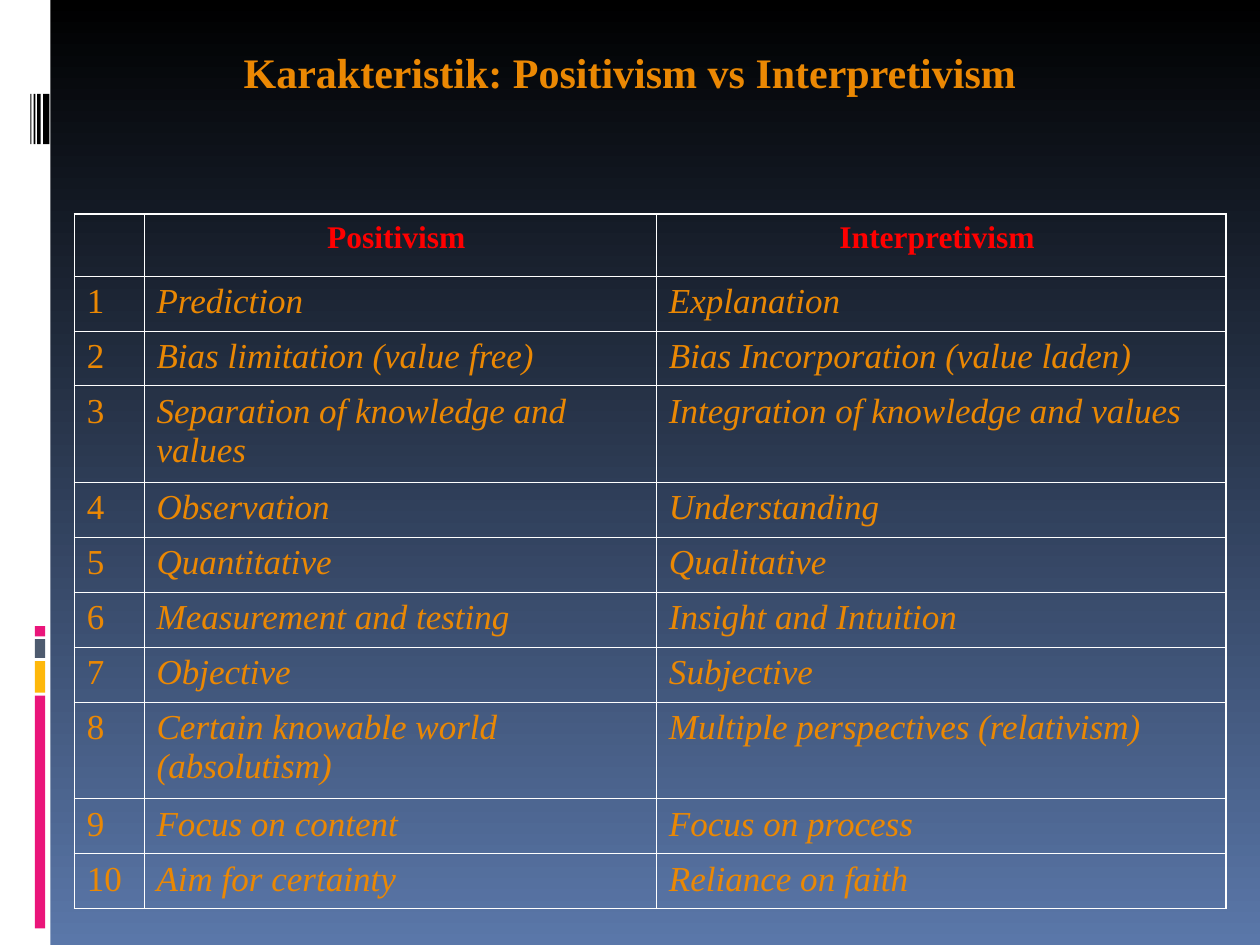
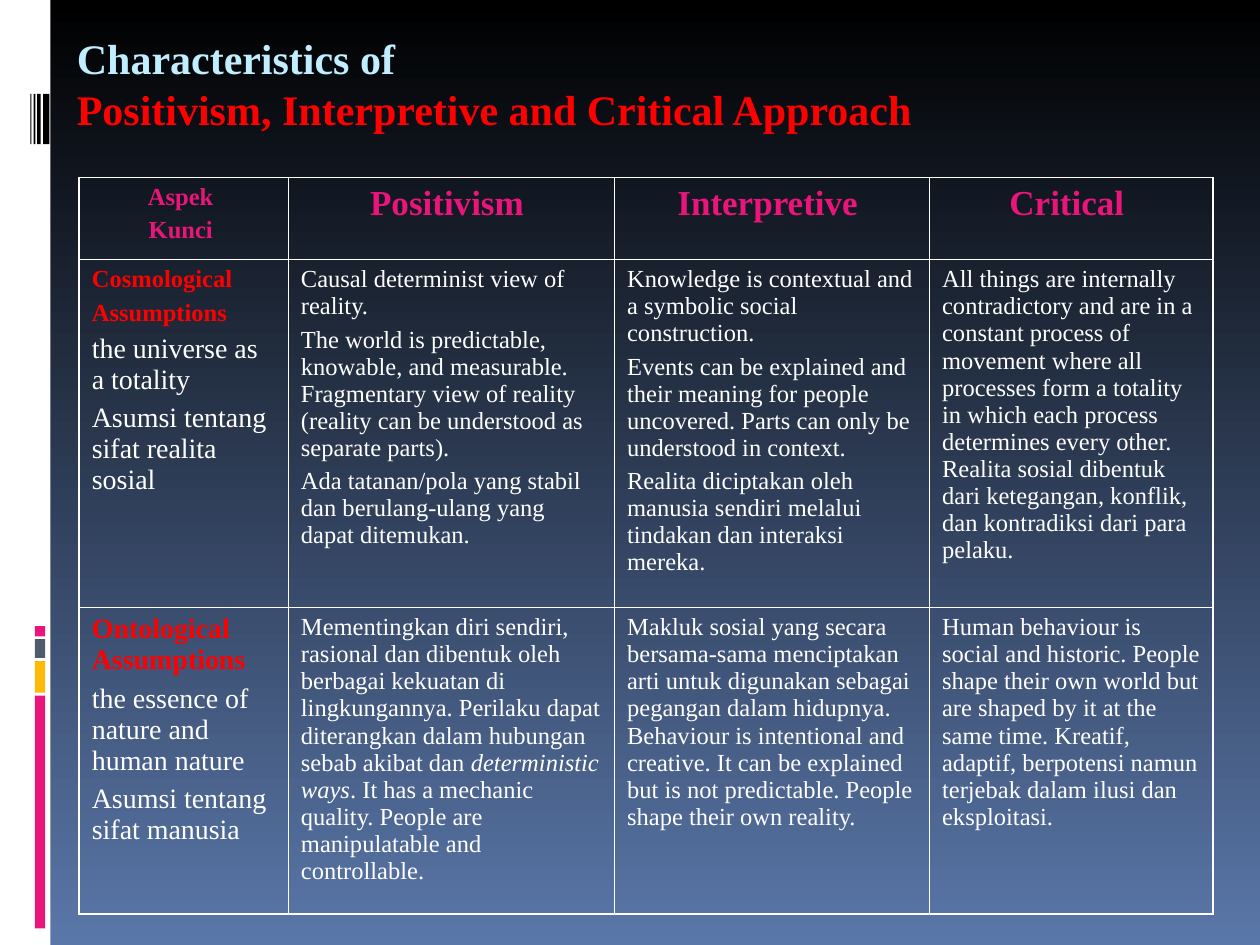
from dataclasses import dataclass, field, replace
from typing import Optional

import pptx
import pptx.dml.color
import pptx.enum.shapes
import pptx.enum.text
import pptx.oxml
import pptx.oxml.ns
import pptx.util

Pt = pptx.util.Pt
RGBColor = pptx.dml.color.RGBColor
ALIGN = pptx.enum.text.PP_ALIGN

WHITE = RGBColor(0xFF, 0xFF, 0xFF)
BLACK = RGBColor(0x00, 0x00, 0x00)
BLUE = RGBColor(0x5A, 0x77, 0xA9)
PINK = RGBColor(0xEA, 0x15, 0x7A)
YELLOW = RGBColor(0xFE, 0xB8, 0x0A)
SLATE = RGBColor(0x4E, 0x5B, 0x6F)
ORANGE = RGBColor(0xEB, 0x88, 0x03)
RED = RGBColor(0xFF, 0x00, 0x00)
PALE_BLUE = RGBColor(0xC1, 0xEE, 0xFF)

FONT = "Times New Roman"
THIN, HEAVY = 0.45, 1.08
TITLE_ONLY = 5


@dataclass(frozen=True)
class Band:
    left: float
    top: float
    width: float
    height: float
    color: RGBColor


@dataclass(frozen=True)
class Style:
    size: float
    color: RGBColor
    bold: bool = False
    italic: bool = False


@dataclass(frozen=True)
class Paragraph:
    runs: list[tuple[str, Style]]
    align: ALIGN = ALIGN.LEFT
    before: float = 0


@dataclass(frozen=True)
class Grid:
    left: float
    top: float
    columns: list[float]
    rows: list[float]
    cells: list[list[list[Paragraph]]]
    # (row, column) of cells with a heavy lower edge inside the table
    heavy_below: set[tuple[int, int]] = field(default_factory=set)


# Left margin decoration shared by all slides
BANDS = [
    Band(0, 0, 28.8, 540, WHITE),
    Band(20, 397.5, 5.9, 133, PINK),
    Band(20, 377.8, 5.9, 18, YELLOW),
    Band(20, 365.2, 5.9, 10.8, SLATE),
    Band(20, 357.8, 5.9, 5.8, PINK),
    Band(24.6, 53.6, 3.6, 28.8, BLACK),
    Band(21.2, 53.6, 2, 28.8, BLACK),
    Band(19.3, 53.6, 0.9, 28.8, BLACK),
    Band(17.4, 53.6, 0.6, 28.8, BLACK),
]

# Text styles
TITLE = Style(24, ORANGE, bold=True)
PAIR_HEAD = Style(18, RED, bold=True)
NUMBER = Style(20, ORANGE)
TRAIT = replace(NUMBER, italic=True)
KEY_HEAD = Style(14, PINK, bold=True)
APPROACH_HEAD = Style(20, PINK, bold=True)
BODY = Style(14, WHITE)
BODY_ITALIC = replace(BODY, italic=True)
ASPECT = Style(16, WHITE)
COSMOLOGICAL = Style(14, RED, bold=True)
ONTOLOGICAL = Style(16, RED, bold=True)

TRAITS = [
    ("Prediction", "Explanation"),
    ("Bias limitation (value free)", "Bias Incorporation (value laden)"),
    ("Separation of knowledge and values", "Integration of knowledge and values"),
    ("Observation", "Understanding"),
    ("Quantitative", "Qualitative"),
    ("Measurement and testing", "Insight and Intuition"),
    ("Objective", "Subjective"),
    ("Certain knowable world (absolutism)", "Multiple perspectives (relativism)"),
    ("Focus on content", "Focus on process"),
    ("Aim for certainty", "Reliance on faith"),
]
TWO_LINE_TRAITS = (3, 8)


def stack(*lines: tuple[str, Style], align: ALIGN = ALIGN.LEFT) -> list[Paragraph]:
    """One paragraph per line, spaced by a quarter of the text size."""
    return [Paragraph([line], align, line[1].size / 4 if index else 0)
            for index, line in enumerate(lines)]


def body(*texts: str) -> list[Paragraph]:
    return stack(*((text, BODY) for text in texts))


def heading(text: str, style: Style) -> list[Paragraph]:
    return stack((text, style), align=ALIGN.CENTER)


def write(frame, paragraphs: list[Paragraph]) -> None:
    for index, content in enumerate(paragraphs):
        line = frame.add_paragraph() if index else frame.paragraphs[0]
        line.alignment = content.align
        line.space_before = Pt(content.before)
        for text, style in content.runs:
            if text == "\n":
                line.add_line_break()
                continue
            run = line.add_run()
            run.text = text
            look = {"name": FONT, "size": Pt(style.size),
                    "bold": style.bold, "italic": style.italic}
            for name, value in look.items():
                setattr(run.font, name, value)
            run.font.color.rgb = style.color


def draw_band(slide, band: Band) -> None:
    bar = slide.shapes.add_shape(
        pptx.enum.shapes.MSO_SHAPE.RECTANGLE,
        Pt(band.left), Pt(band.top), Pt(band.width), Pt(band.height))
    bar.shadow.inherit = False
    bar.fill.solid()
    bar.fill.fore_color.rgb = band.color
    bar.line.fill.background()


def set_borders(cell, widths: dict[str, float]) -> None:
    properties = cell._tc.get_or_add_tcPr()
    for side, width in widths.items():
        properties.append(pptx.oxml.parse_xml(
            f'<a:ln{side} {pptx.oxml.ns.nsdecls("a")} w="{Pt(width)}">'
            f'<a:solidFill><a:srgbClr val="{WHITE}"/></a:solidFill></a:ln{side}>'))


def draw_grid(slide, grid: Grid) -> None:
    last_row, last_column = len(grid.rows) - 1, len(grid.columns) - 1
    table = slide.shapes.add_table(
        last_row + 1, last_column + 1, Pt(grid.left), Pt(grid.top),
        Pt(sum(grid.columns)), Pt(sum(grid.rows))).table
    table.first_row = table.horz_banding = False
    for column, width in zip(table.columns, grid.columns):
        column.width = Pt(width)
    for row, height in zip(table.rows, grid.rows):
        row.height = Pt(height)
    for r, contents in enumerate(grid.cells):
        for c, paragraphs in enumerate(contents):
            cell = table.cell(r, c)
            heavy = {"L": c == 0, "R": c == last_column,
                     "T": r == 0 or (r - 1, c) in grid.heavy_below,
                     "B": r == last_row or (r, c) in grid.heavy_below}
            set_borders(cell, {side: HEAVY if strong else THIN
                               for side, strong in heavy.items()})
            cell.fill.background()
            write(cell.text_frame, paragraphs)


def add_slide(deck, box: tuple[float, float, float, float],
              title: Paragraph, grid: Optional[Grid] = None) -> None:
    slide = deck.slides.add_slide(deck.slide_layouts[TITLE_ONLY])
    for band in BANDS:
        draw_band(slide, band)
    place = dict(zip(("left", "top", "width", "height"), map(Pt, box)))
    for name, value in place.items():
        setattr(slide.shapes.title, name, value)
    frame = slide.shapes.title.text_frame
    settings = {"word_wrap": True,
                "auto_size": pptx.enum.text.MSO_AUTO_SIZE.NONE,
                "vertical_anchor": pptx.enum.text.MSO_ANCHOR.TOP}
    for name, value in settings.items():
        setattr(frame, name, value)
    write(frame, [title])
    if grid:
        draw_grid(slide, grid)


def shade_background(deck) -> None:
    fill = deck.slide_master.background.fill
    fill.gradient()
    fill.gradient_angle = 270
    for stop, position, color in zip(fill.gradient_stops, (0, 1), (BLACK, BLUE)):
        stop.position = position
        stop.color.rgb = color


def main() -> None:
    deck = pptx.Presentation()
    deck.slide_width, deck.slide_height = Pt(720), Pt(540)
    shade_background(deck)

    # Positivism against interpretivism
    pairs = [[[], heading("Positivism ", PAIR_HEAD), heading("Interpretivism ", PAIR_HEAD)]]
    for number, (positivist, interpretivist) in enumerate(TRAITS, 1):
        pairs.append([stack((str(number), NUMBER)), stack((positivist, TRAIT)),
                      stack((interpretivist, TRAIT))])
    heights = [55.2 if number in TWO_LINE_TRAITS else 31.4
               for number in range(1, len(TRAITS) + 1)]
    add_slide(
        deck, (36, 23, 648, 60),
        Paragraph([("Karakteristik: Positivism vs Interpretivism", TITLE)], ALIGN.CENTER),
        Grid(42.5, 122.4, [39.8, 292.8, 325.4], [35.3, *heights], pairs,
             heavy_below={(9, 1), (9, 2)}))

    # Three approaches compared by assumption
    approaches = [
        [stack(("Aspek ", KEY_HEAD), ("Kunci ", KEY_HEAD), align=ALIGN.CENTER),
         *(heading(name, APPROACH_HEAD)
           for name in ("Positivism ", "Interpretive ", "Critical "))],
        [stack(("Cosmological", COSMOLOGICAL), ("Assumptions", COSMOLOGICAL),
               ("the universe as a totality", ASPECT),
               ("Asumsi tentang sifat realita sosial", ASPECT)),
         body("Causal determinist view of reality.",
              "The world is predictable, knowable, and measurable. Fragmentary view of "
              "reality (reality can be understood as separate parts).",
              "Ada tatanan/pola yang stabil dan berulang-ulang yang dapat ditemukan."),
         body("Knowledge is contextual and a symbolic social construction.",
              "Events can be explained and their meaning for people uncovered. Parts can "
              "only be understood in context.",
              "Realita diciptakan oleh manusia sendiri melalui tindakan dan interaksi "
              "mereka."),
         body("All things are internally contradictory and are in a constant process of "
              "movement where all processes form a totality in which each process "
              "determines every other. Realita sosial dibentuk dari ketegangan, konflik, "
              "dan kontradiksi dari para pelaku.")],
        [stack(("Ontological Assumptions", ONTOLOGICAL),
               ("the essence of nature and human nature", ASPECT),
               ("Asumsi tentang sifat manusia", ASPECT)),
         [Paragraph([
             ("Mementingkan diri sendiri, rasional dan dibentuk oleh berbagai kekuatan di "
              "lingkungannya. Perilaku dapat diterangkan dalam hubungan sebab akibat dan ",
              BODY),
             ("deterministic ways", BODY_ITALIC),
             (". It has a mechanic quality. People are manipulatable and controllable.",
              BODY)])],
         body("Makluk sosial yang secara bersama-sama menciptakan arti untuk digunakan "
              "sebagai pegangan dalam hidupnya. Behaviour is intentional and creative. It "
              "can be explained but is not predictable. People shape their own reality."),
         body("Human behaviour is social and historic. People shape their own world but "
              "are shaped by it at the same time. Kreatif, adaptif, berpotensi namun "
              "terjebak dalam ilusi dan eksploitasi.")],
    ]
    add_slide(
        deck, (36.7, 15.1, 648, 73.4),
        Paragraph([("Characteristics of", replace(TITLE, color=PALE_BLUE)),
                   ("\n", TITLE),
                   ("Positivism, Interpretive and Critical Approach",
                    replace(TITLE, color=RED))]),
        Grid(45.3, 101.5, [119.5, 186.4, 180, 162], [46.9, 198.8, 175.2], approaches))

    deck.save("out.pptx")


if __name__ == "__main__":
    main()
